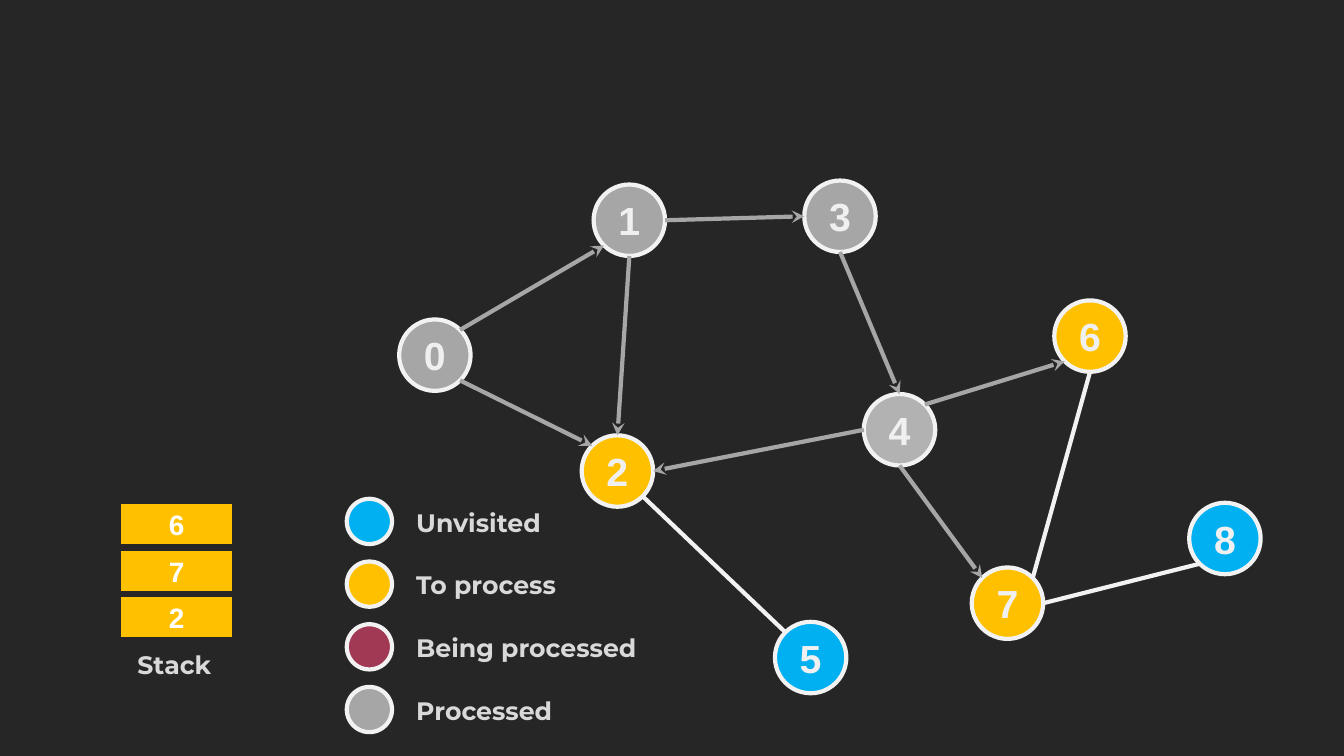
from math import cos, radians, sin

from lxml.etree import SubElement
from pptx import Presentation
from pptx.dml.color import RGBColor
from pptx.enum.shapes import MSO_CONNECTOR, MSO_SHAPE
from pptx.enum.text import MSO_ANCHOR, MSO_AUTO_SIZE, PP_ALIGN
from pptx.oxml.ns import qn
from pptx.util import Cm, Pt

HUES = {
    "back": "262626", "edge": "F2F2F2", "digit": "F0F0F0", "label": "D9D9D9",
    "white": "FFFFFF", "new": "00B0F0", "queue": "FFC000", "now": "A13954",
    "done": "A6A6A6", "last": "B2B2B2",
}
NODES = [
    (0, 3.5, "done"), (4.9, 0.1, "done"), (4.6, 6.42, "queue"),
    (10.21, 0, "done"), (11.71, 5.38, "last"), (9.47, 11.12, "new"),
    (16.51, 3.02, "queue"), (14.43, 9.75, "queue"), (19.91, 8.12, "new"),
]
TURNS = {"E": 0, "SE": 45, "S": 90, "SW": 135, "W": 180, "NW": 225, "N": 270, "NE": 315}
ARROWS = [
    (1, "E", 3, "W"), (0, "NE", 1, "SW"), (1, "S", 2, "N"), (0, "SE", 2, "NW"),
    (3, "S", 4, "N"), (4, "W", 2, "E"), (4, "S", 7, "NW"), (4, "NE", 6, "SW"),
]
LINKS = [(2, "SE", 5, "NW"), (7, "E", 8, "SW"), (7, "NE", 6, "S")]
KEYS = [
    ("Unvisited", "new", 3.66), ("To process", "queue", 4.04),
    ("Being processed", "now", 6.1), ("Processed", "done", 3.96),
]


def tint(name):
    return RGBColor.from_string(HUES[name])


def write(shape, text, size, font, hue, align):
    frame = shape.text_frame
    frame.text = text
    frame.vertical_anchor = MSO_ANCHOR.MIDDLE
    para = frame.paragraphs[0]
    para.alignment = align
    face = para.runs[0].font
    face.size, face.name, face.bold = Pt(size), font, True
    face.color.rgb = tint(hue)


def draw(slide, kind, box, fill, line, width):
    shape = slide.shapes.add_shape(kind, *map(Cm, box))
    shape.shadow.inherit = False
    shape.fill.solid()
    shape.fill.fore_color.rgb = tint(fill)
    shape.line.color.rgb = tint(line)
    shape.line.width = Pt(width)
    return shape


def label(slide, box, text, align, wrap):
    item = slide.shapes.add_textbox(*map(Cm, box))
    write(item, text, 18, "Montserrat", "label", align)
    item.text_frame.word_wrap = wrap
    item.text_frame.auto_size = MSO_AUTO_SIZE.SHAPE_TO_FIT_TEXT


def join(slide, start, end, hue, arrow):
    line = slide.shapes.add_connector(MSO_CONNECTOR.STRAIGHT, *map(Cm, start + end))
    line.line.color.rgb = tint(hue)
    line.line.width = Pt(3)
    if arrow:
        SubElement(line.line._get_or_add_ln(), qn("a:tailEnd"), type="stealth")
    SubElement(line._element.spPr, qn("a:effectLst"))


def graph(slide, left, top):
    size = 1.8
    half = size / 2

    def port(node, side):
        x, y, _ = NODES[node]
        turn = radians(TURNS[side])
        return left + x + half + half * cos(turn), top + y + half + half * sin(turn)

    for mark, (x, y, hue) in enumerate(NODES):
        box = (left + x, top + y, size, size)
        node = draw(slide, MSO_SHAPE.OVAL, box, hue, "edge", 3)
        write(node, str(mark), 28, "Arial", "digit", PP_ALIGN.CENTER)
    for pairs, hue, arrow in ((ARROWS, "done", True), (LINKS, "edge", False)):
        for src, out, dest, into in pairs:
            join(slide, port(src, out), port(dest, into), hue, arrow)


def stack(slide, left, top):
    step = 1.17
    marks = ["6", "7", "2"]
    for row, mark in reversed(list(enumerate(marks))):
        box = (left, top + row * step, 2.9, 1.09)
        cell = draw(slide, MSO_SHAPE.RECTANGLE, box, "queue", "back", 2.25)
        write(cell, mark, 20, "Arial", "white", PP_ALIGN.CENTER)
    box = (left - 0.13, top + len(marks) * step + 0.05, 3.05, 1.02)
    label(slide, box, "Stack", PP_ALIGN.CENTER, True)


def legend(slide, left, top):
    for row, (text, hue, width) in enumerate(KEYS):
        y = top + row * 1.58
        draw(slide, MSO_SHAPE.OVAL, (left, y, 1.14, 1.14), hue, "edge", 3)
        label(slide, (left + 1.5, y + 0.08, width, 1.02), text, PP_ALIGN.LEFT, False)


def main():
    deck = Presentation()
    deck.slide_width, deck.slide_height = Cm(33.87), Cm(19.05)
    slide = deck.slides.add_slide(deck.slide_layouts[6])
    slide.background.fill.solid()
    slide.background.fill.fore_color.rgb = tint("back")
    graph(slide, 10.06, 4.55)
    stack(slide, 3, 12.67)
    legend(slide, 8.74, 12.57)
    deck.save("out.pptx")


if __name__ == "__main__":
    main()
